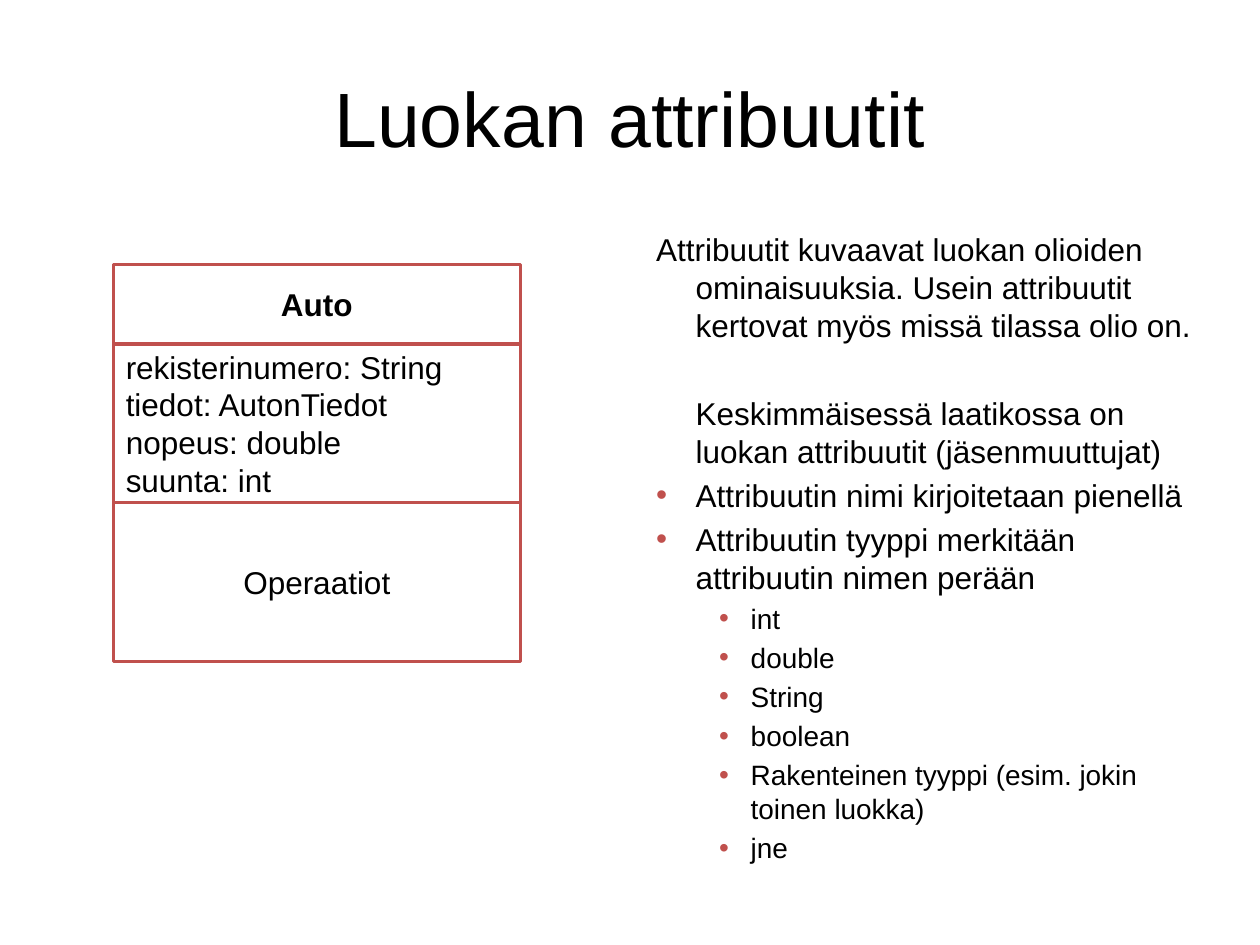
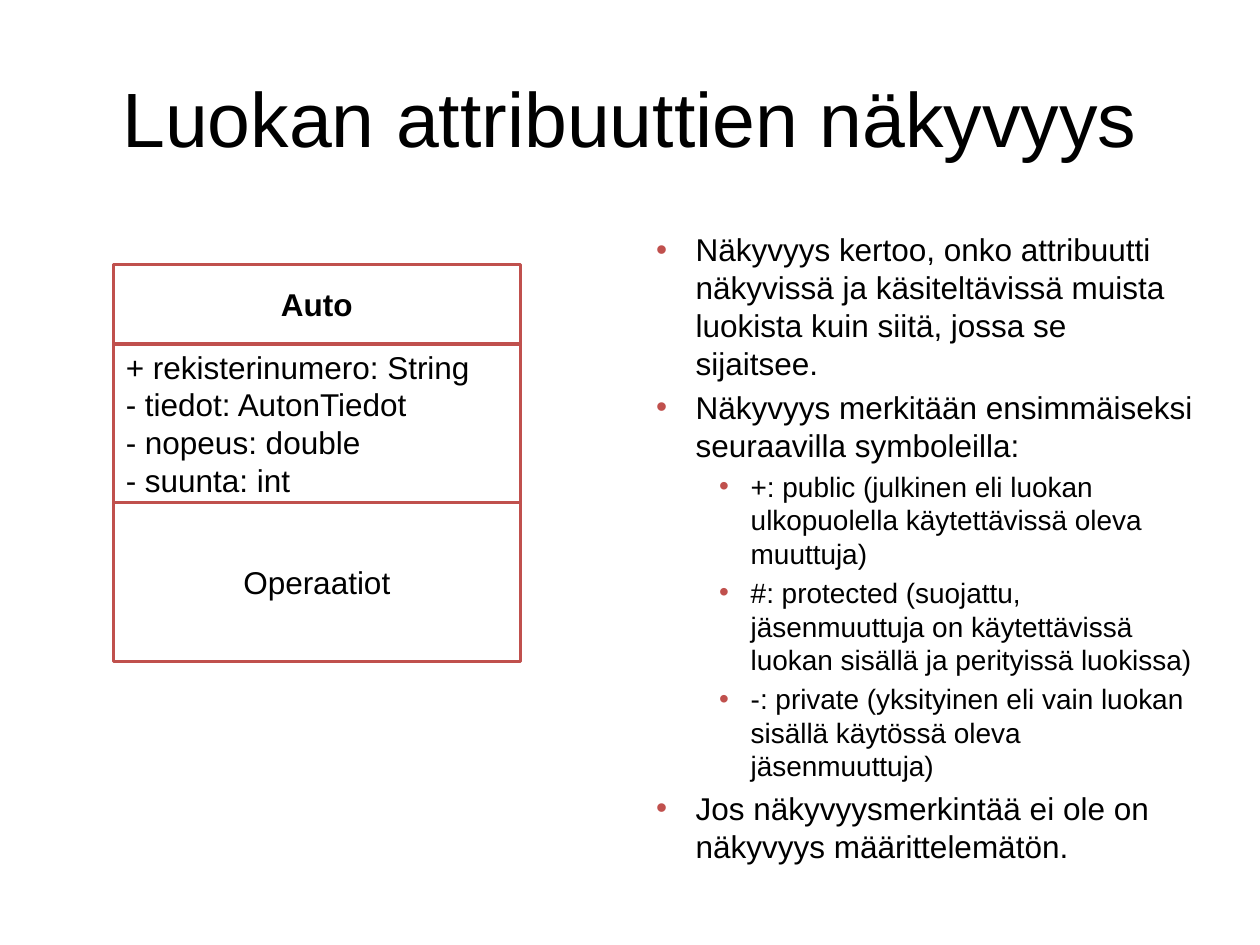
from dataclasses import dataclass

from lxml.etree import SubElement
from pptx import Presentation
from pptx.dml.color import RGBColor
from pptx.enum.shapes import MSO_SHAPE
from pptx.enum.text import MSO_ANCHOR, PP_ALIGN
from pptx.oxml.ns import qn
from pptx.util import Pt


@dataclass(frozen=True)
class Theme:
    """Colours, font and type sizes shared by the slides."""
    font: str = "Arial"
    text: RGBColor = RGBColor(0x00, 0x00, 0x00)
    paper: RGBColor = RGBColor(0xFF, 0xFF, 0xFF)
    accent: RGBColor = RGBColor(0xC0, 0x50, 0x4D)
    title_size: float = 44
    body_size: float = 18
    detail_size: float = 16
    line_width: float = 2


@dataclass(frozen=True)
class Note:
    """A paragraph of the explanation beside the class diagram."""
    text: str
    level: int = 1
    bullet: bool = True
    hanging: bool = True
    gap_before: float = 0


class Deck:
    """Holds the theme and the current slide and draws each kind of element."""

    LEVEL_INDENTS = {1: (58.5, -22.5), 2: (90, -18)}
    SPACE_BEFORE = 0.2

    def __init__(self, theme):
        """Start an empty presentation."""
        self.theme = theme
        self.presentation = Presentation()
        self.presentation.slide_width = Pt(720)
        self.presentation.slide_height = Pt(540)
        self.slide = None

    def add_slide(self, title):
        """Add a blank slide with its title."""
        self.slide = self.presentation.slides.add_slide(self.presentation.slide_layouts[6])
        frame = self.add_text_box(36, 21.6, 648, 90)
        frame.vertical_anchor = MSO_ANCHOR.MIDDLE
        paragraph = frame.paragraphs[0]
        paragraph.alignment = PP_ALIGN.CENTER
        self.add_run(paragraph, title, self.theme.title_size)

    def add_text_box(self, left, top, width, height):
        """Add a wrapping text box and return its text frame."""
        box = self.slide.shapes.add_textbox(Pt(left), Pt(top), Pt(width), Pt(height))
        box.text_frame.word_wrap = True
        return box.text_frame

    def add_run(self, paragraph, text, size, bold=False):
        """Add a styled run to a paragraph."""
        run = paragraph.add_run()
        run.text = text
        run.font.name = self.theme.font
        run.font.size = Pt(size)
        run.font.bold = bold
        run.font.color.rgb = self.theme.text

    def each_paragraph(self, frame, items):
        """Pair every item with a paragraph of the frame."""
        for index, item in enumerate(items):
            yield frame.paragraphs[0] if index == 0 else frame.add_paragraph(), item

    def add_compartment(self, left, top, width, height, lines, alignment, bold=False):
        """Add one outlined compartment of a class diagram."""
        shape = self.slide.shapes.add_shape(
            MSO_SHAPE.RECTANGLE, Pt(left), Pt(top), Pt(width), Pt(height))
        shape.shadow.inherit = False
        shape.fill.solid()
        shape.fill.fore_color.rgb = self.theme.paper
        shape.line.color.rgb = self.theme.accent
        shape.line.width = Pt(self.theme.line_width)
        frame = shape.text_frame
        frame.word_wrap = False
        frame.vertical_anchor = MSO_ANCHOR.MIDDLE
        for paragraph, line in self.each_paragraph(frame, lines):
            paragraph.alignment = alignment
            self.add_run(paragraph, line, self.theme.body_size, bold)

    def add_class_diagram(self, name, attributes, operations):
        """Stack the name, attribute and operation compartments."""
        left, top, width, row = 64.8, 151.2, 232.56, 45.36
        compartments = [
            ([name], 1, PP_ALIGN.CENTER, True),
            (attributes, 2, PP_ALIGN.LEFT, False),
            (operations, 2, PP_ALIGN.CENTER, False),
        ]
        for lines, rows, alignment, bold in compartments:
            self.add_compartment(left, top, width, rows * row, lines, alignment, bold)
            top += rows * row

    def add_bullet(self, paragraph):
        """Give a paragraph an accent-coloured bullet."""
        properties = paragraph._p.get_or_add_pPr()
        colour = SubElement(properties, qn("a:buClr"))
        SubElement(colour, qn("a:srgbClr"), val=str(self.theme.accent))
        SubElement(properties, qn("a:buFont"), typeface=self.theme.font)
        SubElement(properties, qn("a:buChar"), char="•")

    def add_notes_column(self, notes):
        """Add the explanation column on the right."""
        frame = self.add_text_box(331.92, 128.16, 358.56, 374.4)
        for paragraph, note in self.each_paragraph(frame, notes):
            size = self.theme.body_size if note.level == 1 else self.theme.detail_size
            margin, indent = self.LEVEL_INDENTS[note.level]
            paragraph.level = note.level
            properties = paragraph._p.get_or_add_pPr()
            properties.set("marL", str(Pt(margin)))
            properties.set("indent", str(Pt(indent if note.hanging else 0)))
            is_first = note is notes[0]
            paragraph.space_before = Pt(
                0 if is_first else note.gap_before or size * self.SPACE_BEFORE)
            if note.bullet:
                self.add_bullet(paragraph)
            self.add_run(paragraph, note.text, size)


def main():
    """Build both slides and save them."""
    deck = Deck(Theme())
    attributes = ["rekisterinumero: String", "tiedot: AutonTiedot",
                  "nopeus: double", "suunta: int"]
    visibilities = ["+", "-", "-", "-"]
    types = ["int", "double", "String", "boolean",
             "Rakenteinen tyyppi (esim. jokin toinen luokka)", "jne"]

    deck.add_slide("Luokan attribuutit")
    deck.add_class_diagram("Auto", attributes, ["Operaatiot"])
    deck.add_notes_column([
        Note("Attribuutit kuvaavat luokan olioiden ominaisuuksia. Usein attribuutit "
             "kertovat myös missä tilassa olio on.", bullet=False),
        Note("Keskimmäisessä laatikossa on luokan attribuutit (jäsenmuuttujat)",
             bullet=False, hanging=False, gap_before=28.7),
        Note("Attribuutin nimi kirjoitetaan pienellä"),
        Note("Attribuutin tyyppi merkitään attribuutin nimen perään"),
        *[Note(name, level=2) for name in types],
    ])

    deck.add_slide("Luokan attribuuttien näkyvyys")
    visible_attributes = [f"{symbol} {attribute}"
                          for symbol, attribute in zip(visibilities, attributes)]
    deck.add_class_diagram("Auto", visible_attributes, ["Operaatiot"])
    deck.add_notes_column([
        Note("Näkyvyys kertoo, onko attribuutti näkyvissä ja käsiteltävissä muista "
             "luokista kuin siitä, jossa se sijaitsee."),
        Note("Näkyvyys merkitään ensimmäiseksi seuraavilla symboleilla:"),
        Note("+: public (julkinen eli luokan ulkopuolella käytettävissä oleva muuttuja)",
             level=2),
        Note("#: protected (suojattu, jäsenmuuttuja on käytettävissä luokan sisällä "
             "ja perityissä luokissa)", level=2),
        Note("-: private (yksityinen eli vain luokan sisällä käytössä oleva "
             "jäsenmuuttuja)", level=2),
        Note("Jos näkyvyysmerkintää ei ole on näkyvyys määrittelemätön."),
    ])

    deck.presentation.save("out.pptx")


if __name__ == "__main__":
    main()
